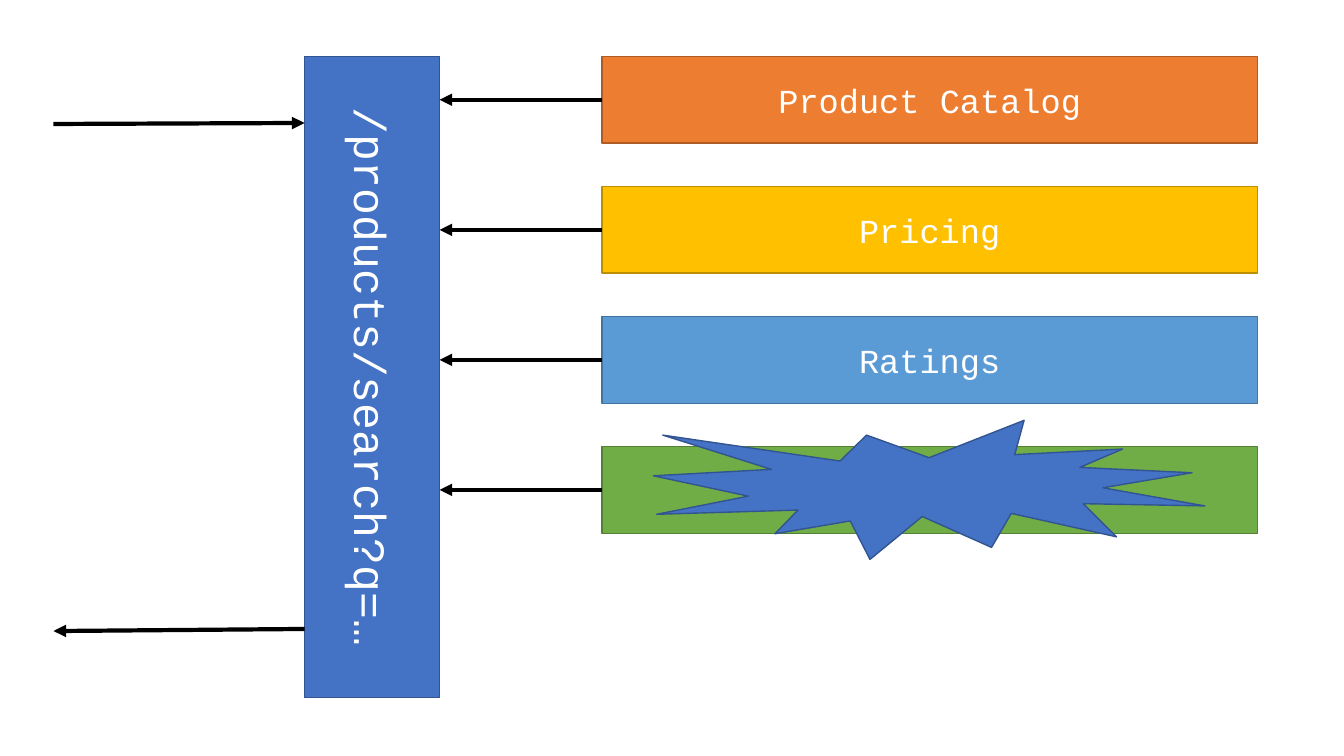
from dataclasses import dataclass

from lxml import etree
from pptx import Presentation
from pptx.dml.color import RGBColor
from pptx.enum.shapes import MSO_CONNECTOR, MSO_SHAPE
from pptx.enum.text import MSO_ANCHOR, PP_ALIGN
from pptx.oxml.ns import qn
from pptx.util import Inches, Pt

RECT = MSO_SHAPE.RECTANGLE
BURST = MSO_SHAPE.EXPLOSION1
STRAIGHT = MSO_CONNECTOR.STRAIGHT
MIDDLE = MSO_ANCHOR.MIDDLE
CENTER = PP_ALIGN.CENTER
LEFT_SIDE = 1


@dataclass(frozen=True)
class Theme:
    font: str = "Courier New"
    text: str = "FFFFFF"
    arrow: str = "000000"
    blue: tuple = ("4472C4", "325491")
    orange: tuple = ("ED7D31", "AF5C24")
    gold: tuple = ("FFC000", "BD8E00")
    sky: tuple = ("5B9BD5", "43739E")
    green: tuple = ("70AD47", "538035")
    label_size: int = 24
    path_size: int = 32
    outline: int = 1
    arrow_width: int = 3


def add_text(sp, text, font, size, color, vert=None):
    tf = sp.text_frame
    tf.word_wrap = True
    tf.vertical_anchor = MIDDLE
    if vert:
        sp.element.txBody.find(qn("a:bodyPr")).set("vert", vert)
    p = tf.paragraphs[0]
    p.alignment = CENTER
    r = p.add_run()
    r.text = text
    r.font.name = font
    r.font.size = Pt(size)
    r.font.color.rgb = RGBColor.from_string(color)


class Diagram:
    """Draws styled elements on one slide, with lengths in percent of its size."""

    def __init__(self, prs, theme):
        self.prs = prs
        self.theme = theme
        self.s = prs.slides.add_slide(prs.slide_layouts[6])

    def x(self, share):
        return round(self.prs.slide_width * share / 100)

    def y(self, share):
        return round(self.prs.slide_height * share / 100)

    def shape(self, kind, left, top, width, height, colors):
        sp = self.s.shapes.add_shape(
            kind, self.x(left), self.y(top), self.x(width), self.y(height))
        fill, line = colors
        sp.shadow.inherit = False
        sp.fill.solid()
        sp.fill.fore_color.rgb = RGBColor.from_string(fill)
        sp.line.color.rgb = RGBColor.from_string(line)
        sp.line.width = Pt(self.theme.outline)
        return sp

    def box(self, left, top, width, height, colors, text, size, vert=None):
        sp = self.shape(RECT, left, top, width, height, colors)
        if text:
            add_text(sp, text, font=self.theme.font, size=size,
                     color=self.theme.text, vert=vert)
        return sp

    def arrow(self, x1, y1, x2, y2, source=None):
        cxn = self.s.shapes.add_connector(
            STRAIGHT, self.x(x1), self.y(y1), self.x(x2), self.y(y2))
        if source is not None:
            cxn.begin_connect(source, LEFT_SIDE)
        cxn.line.color.rgb = RGBColor.from_string(self.theme.arrow)
        cxn.line.width = Pt(self.theme.arrow_width)
        ln = cxn.line._get_or_add_ln()
        etree.SubElement(ln, qn("a:tailEnd"), type="triangle")
        etree.SubElement(cxn.element.spPr, qn("a:effectLst"))


def main():
    prs = Presentation()
    prs.slide_width = Inches(13.33)
    prs.slide_height = Inches(7.5)
    theme = Theme()
    d = Diagram(prs, theme)

    top = 7.47
    client_x = 3.98
    gateway_x, gateway_w = 22.66, 10.05
    service_x, service_w, service_h, pitch = 44.79, 48.76, 11.47, 17.2

    d.box(gateway_x, top, gateway_w, 84.8, theme.blue,
          "/products/search?q=…", theme.path_size, vert="vert")
    d.arrow(client_x, 16.4, gateway_x, 16.27)

    services = [
        ("Product Catalog", theme.orange),
        ("Pricing", theme.gold),
        ("Ratings", theme.sky),
        (None, theme.green),
    ]
    for i, (name, colors) in enumerate(services):
        y = top + i * pitch
        mid = y + service_h / 2
        sp = d.box(service_x, y, service_w, service_h, colors, name, theme.label_size)
        d.arrow(service_x, mid, gateway_x + gateway_w, mid, source=sp)

    d.arrow(gateway_x, 83.2, client_x, 83.47)
    d.shape(BURST, 48.61, 55.6, 41.04, 18.4, theme.blue)

    prs.save("out.pptx")


if __name__ == "__main__":
    main()
